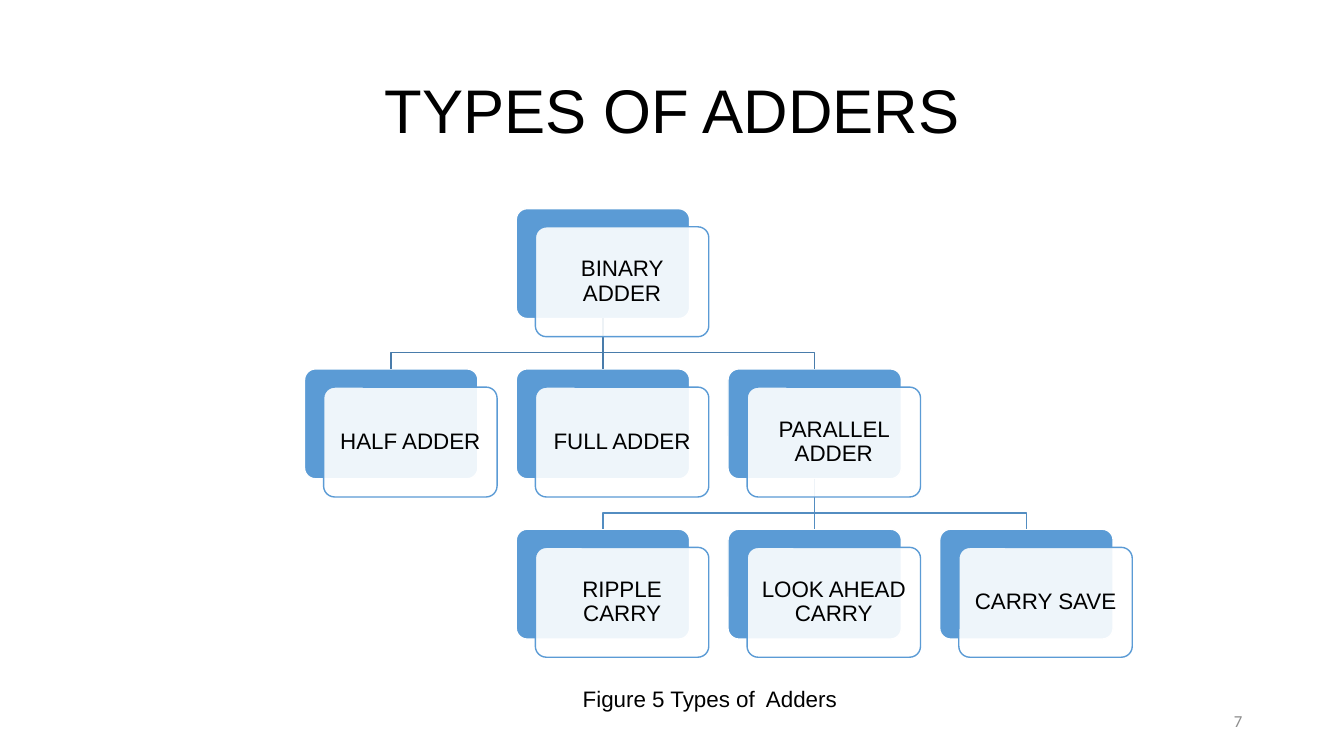
from lxml.etree import SubElement
from pptx import Presentation
from pptx.dml.color import RGBColor
from pptx.enum.shapes import MSO_CONNECTOR, MSO_SHAPE
from pptx.enum.text import MSO_ANCHOR, PP_ALIGN
from pptx.oxml.ns import qn
from pptx.util import Inches, Pt

COL_X, COL_STEP = 3.02, 2.1
ROW_Y, ROW_STEP = 2.07, 1.59
CARD_W, CARD_H = 1.72, 1.09
PANEL_DX, PANEL_DY = 0.19, 0.18
BEND = 0.34  # drop from a parent card to the horizontal branch

# label: (column, row)
NODES = {
    "BINARY ADDER": (1, 0),
    "HALF ADDER": (0, 1),
    "FULL ADDER": (1, 1),
    "PARALLEL ADDER": (2, 1),
    "RIPPLE CARRY": (1, 2),
    "LOOK AHEAD CARRY": (2, 2),
    "CARRY SAVE": (3, 2),
}
# parent: (line colour, children)
BRANCHES = {
    "PARALLEL ADDER": ("538DC1", ["CARRY SAVE", "LOOK AHEAD CARRY", "RIPPLE CARRY"]),
    "BINARY ADDER": ("497CAB", ["PARALLEL ADDER", "FULL ADDER", "HALF ADDER"]),
}


def rgb(color):
    return RGBColor.from_string(color)


def card_origin(label):
    col, row = NODES[label]
    return COL_X + col * COL_STEP, ROW_Y + row * ROW_STEP


def write(tf, text, size=16, font="Arial", color="000000", align=PP_ALIGN.CENTER,
          anchor=MSO_ANCHOR.MIDDLE, spacing=None, wrap=True):
    tf.word_wrap = wrap
    tf.vertical_anchor = anchor
    p = tf.paragraphs[0]
    p.alignment = align
    if spacing:
        p.line_spacing = spacing
    r = p.add_run()
    r.text = text
    r.font.size = Pt(size)
    r.font.name = font
    r.font.color.rgb = rgb(color)


class TreeSlide:
    accent = "5B9BD5"
    white = "FFFFFF"
    line_width = Pt(1)

    def __init__(self, prs):
        self.shapes = prs.slides.add_slide(prs.slide_layouts[6]).shapes

    def text(self, x, y, w, h, text, **fmt):
        sp = self.shapes.add_textbox(Inches(x), Inches(y), Inches(w), Inches(h))
        write(sp.text_frame, text, **fmt)

    def rounded(self, x, y, fill, line):
        sp = self.shapes.add_shape(MSO_SHAPE.ROUNDED_RECTANGLE, Inches(x), Inches(y),
                                   Inches(CARD_W), Inches(CARD_H))
        sp.adjustments[0] = 0.1
        sp.shadow.inherit = False
        sp.fill.solid()
        sp.fill.fore_color.rgb = rgb(fill)
        sp.line.color.rgb = rgb(line)
        sp.line.width = self.line_width
        return sp

    def card(self, label):
        return self.rounded(*card_origin(label), self.accent, self.white)

    def panel(self, label):
        """Add the translucent label plate in front of a card."""
        x, y = card_origin(label)
        sp = self.rounded(x + PANEL_DX, y + PANEL_DY, self.white, self.accent)
        fill = sp.fill._xPr.find(qn("a:solidFill"))
        SubElement(fill[0], qn("a:alpha"), val="90000")
        tf = sp.text_frame
        tf.margin_left = tf.margin_right = tf.margin_top = tf.margin_bottom = Inches(0.07)
        write(tf, label, spacing=0.9)

    def straight(self, parent, child, color):
        s = self.shapes.add_connector(MSO_CONNECTOR.STRAIGHT, 0, 0, 0, 0)
        s.begin_connect(parent, 2)
        s.end_connect(child, 0)
        s.line.color.rgb = rgb(color)
        s.line.width = self.line_width
        SubElement(s._element.spPr, qn("a:effectLst"))

    def elbow(self, parent, child, color):
        start_x, end_x = (card.left + card.width // 2 for card in (parent, child))
        start_y = parent.top + parent.height
        bend_y = start_y + Inches(BEND)
        fb = self.shapes.build_freeform(start_x, start_y)
        fb.add_line_segments([(start_x, bend_y), (end_x, bend_y), (end_x, child.top)],
                             close=False)
        sp = fb.convert_to_shape()
        sp.shadow.inherit = False
        sp.fill.background()
        sp.line.color.rgb = rgb(color)
        sp.line.width = self.line_width


def main():
    prs = Presentation()
    prs.slide_width, prs.slide_height = Inches(13.33), Inches(7.5)
    s = TreeSlide(prs)
    s.text(0.92, 0.4, 11.5, 1.45, "TYPES OF ADDERS", size=44, spacing=0.9)
    s.text(9.42, 6.95, 3, 0.4, "7", size=12, font="Calibri", color="8C8C8C",
           align=PP_ALIGN.RIGHT)

    cards = {label: s.card(label) for label in NODES}
    for parent, (color, children) in BRANCHES.items():
        for child in children:
            same_column = NODES[parent][0] == NODES[child][0]
            join = s.straight if same_column else s.elbow
            join(cards[parent], cards[child], color)
    for label in NODES:
        s.panel(label)

    s.text(5.65, 6.75, 2.78, 0.37, "Figure 5 Types of  Adders ",
           anchor=MSO_ANCHOR.TOP, wrap=False)
    prs.save("out.pptx")


if __name__ == "__main__":
    main()
